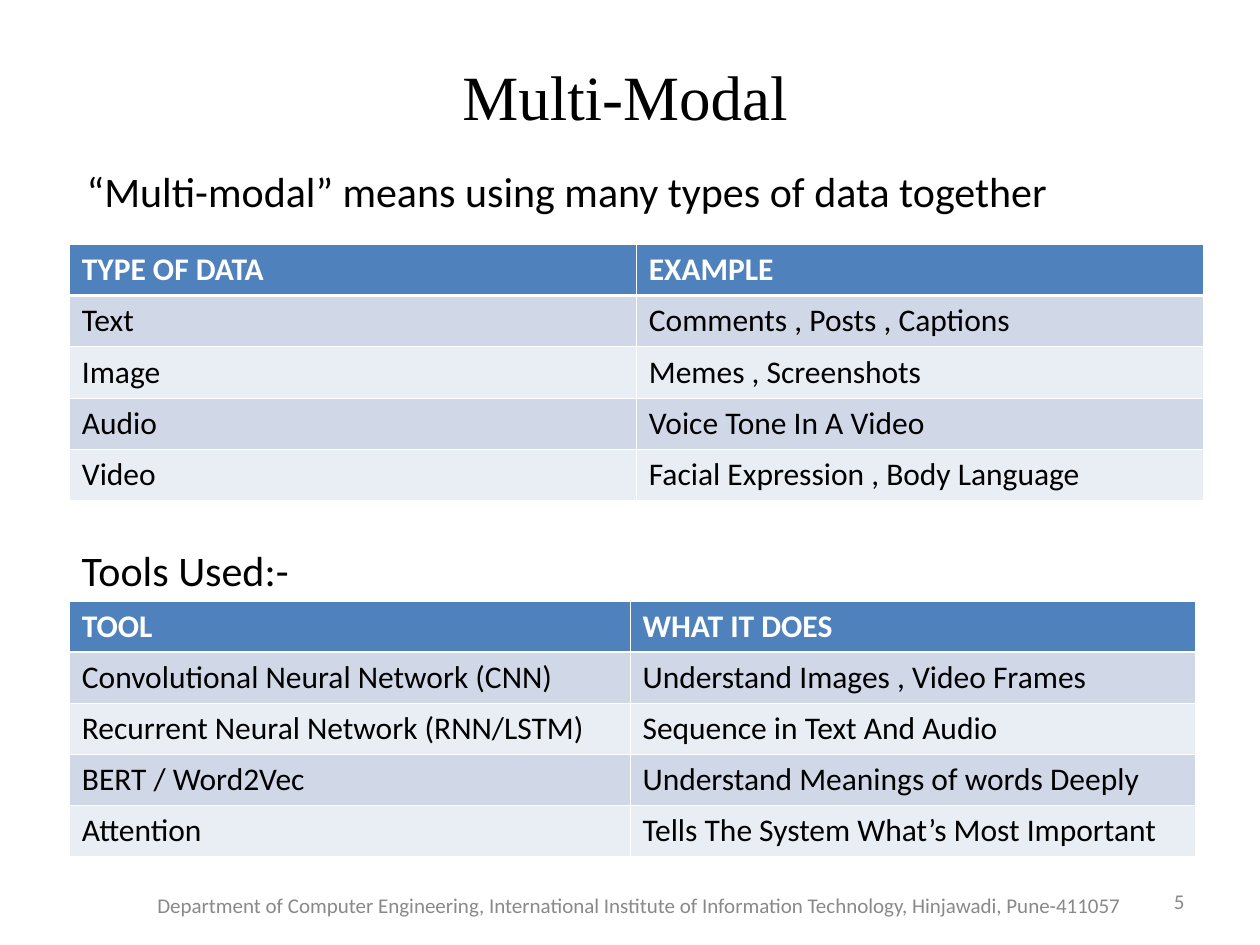
import pptx
import pptx.util
import pptx.dml.color
import pptx.enum.text
import pptx.oxml
import pptx.oxml.ns

hues = {"ink": "000000", "head": "4F81BD", "odd": "D0D8E8",
        "even": "E9EDF4", "rule": "FFFFFF", "foot": "898989"}
align = pptx.enum.text.PP_ALIGN
anchor = pptx.enum.text.MSO_ANCHOR
fit = pptx.enum.text.MSO_AUTO_SIZE

deck = pptx.Presentation()
deck.slide_width = pptx.util.Inches(10)
deck.slide_height = pptx.util.Inches(7.5)
col = deck.slide_width / 100
row = deck.slide_height / 75
slide = deck.slides.add_slide(deck.slide_layouts[5])


def grid(x, y, w, h):
    return [round(n) for n in (x * col, y * row, w * col, h * row)]


def write(para, text, size, hue="ink", face="Calibri", bold=False):
    run = para.add_run()
    run.text = text
    run.font.size = pptx.util.Pt(size)
    run.font.name = face
    run.font.bold = bold
    run.font.color.rgb = pptx.dml.color.RGBColor.from_string(hues[hue])


title = slide.shapes.title
title.left, title.top, title.width, title.height = grid(5.3, 1.3, 90, 11.7)
title.text_frame.vertical_anchor = anchor.MIDDLE
para = title.text_frame.paragraphs[0]
para.alignment = align.CENTER
write(para, "Multi-Modal", 36, face="Times New Roman")
write(para, " ", 44)

notes = [
    ("Department of Computer Engineering, International Institute of "
     "Information Technology, Hinjawadi, Pune-411057",
     (9.8, 69.8, 81.9, 4), 12, "foot", align.CENTER, True),
    ("5", (71.7, 69.5, 23.3, 4), 12, "foot", align.RIGHT, True),
    ("“Multi-modal” means using many types of data together",
     (5.8, 12.6, 78.4, 5), 24, "ink", align.CENTER, False),
    ("Tools Used:-", (5.5, 42.7, 19.5, 5), 24, "ink", align.LEFT, False),
]
for text, place, size, hue, side, wrap in notes:
    frame = slide.shapes.add_textbox(*grid(*place)).text_frame
    frame.word_wrap = wrap
    frame.auto_size = fit.NONE if wrap else fit.SHAPE_TO_FIT_TEXT
    frame.vertical_anchor = anchor.MIDDLE
    frame.paragraphs[0].alignment = side
    write(frame.paragraphs[0], text, size, hue)

tables = [
    (19.4, (45, 45), [
        ("TYPE OF DATA", "EXAMPLE"),
        ("Text", "Comments , Posts , Captions"),
        ("Image", "Memes , Screenshots"),
        ("Audio", "Voice Tone In A Video"),
        ("Video", "Facial Expression , Body Language"),
    ]),
    (47.7, (44.5, 44.9), [
        ("TOOL", "WHAT IT DOES"),
        ("Convolutional Neural Network (CNN)",
         "Understand Images , Video Frames"),
        ("Recurrent Neural Network (RNN/LSTM)", "Sequence in Text And Audio"),
        ("BERT / Word2Vec", "Understand Meanings of words Deeply"),
        ("Attention", "Tells The System What’s Most Important"),
    ]),
]
for top, spans, rows in tables:
    place = grid(5.5, top, sum(spans), 20.3)
    table = slide.shapes.add_table(len(rows), len(spans), *place).table
    for line in table.rows:
        line.height = round(20.3 * row / len(rows))
    for j, span in enumerate(spans):
        table.columns[j].width = round(span * col)
    for i, words in enumerate(rows):
        fill = "head" if i == 0 else "odd" if i % 2 else "even"
        for j, text in enumerate(words):
            cell = table.cell(i, j)
            props = cell._tc.get_or_add_tcPr()
            for edge in "LRTB":
                thick = (i, edge) in ((0, "B"), (1, "T"))
                wide = pptx.util.Pt(1.47 if thick else 0.45)
                props.append(pptx.oxml.parse_xml(
                    f'<a:ln{edge} {pptx.oxml.ns.nsdecls("a")} w="{wide}">'
                    f'<a:solidFill><a:srgbClr val="{hues["rule"]}"/>'
                    f'</a:solidFill></a:ln{edge}>'))
            cell.fill.solid()
            cell.fill.fore_color.rgb = pptx.dml.color.RGBColor.from_string(
                hues[fill])
            write(cell.text_frame.paragraphs[0], text, 18,
                  "ink" if i else "rule", bold=i == 0)

deck.save("out.pptx")
